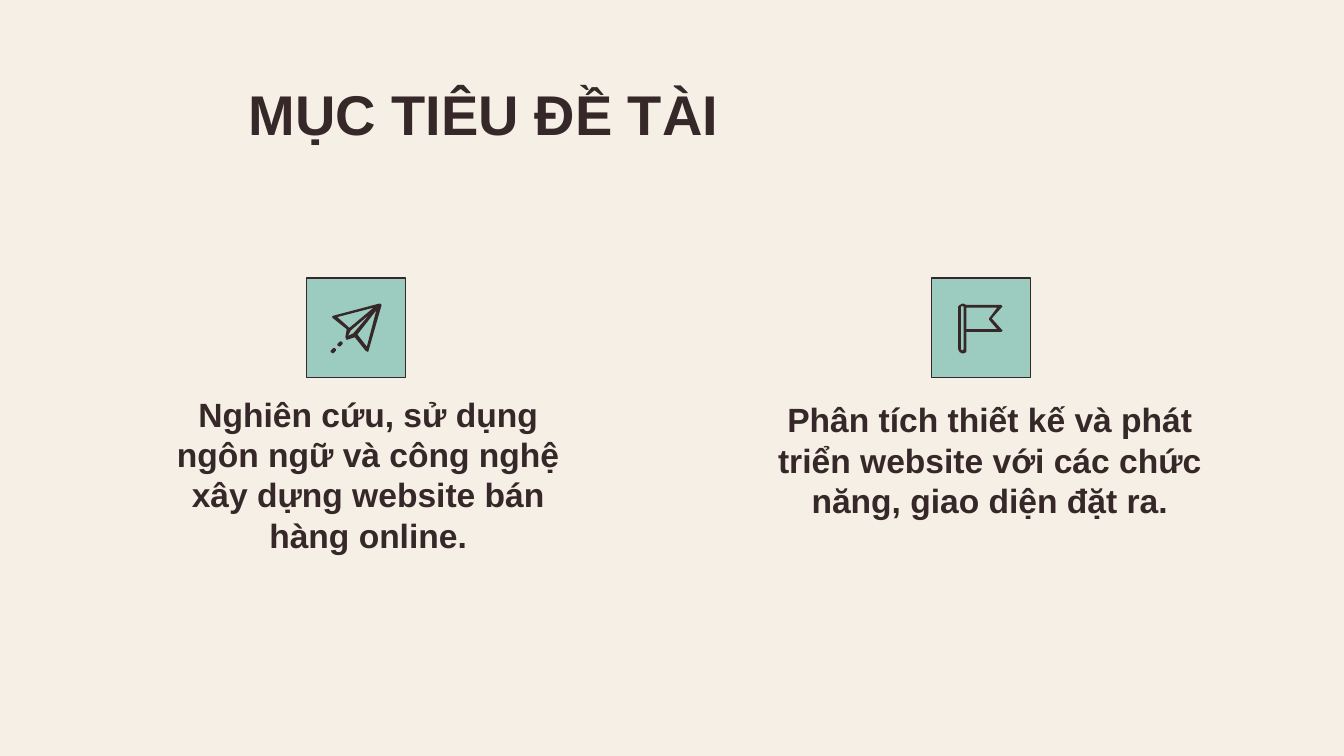
from dataclasses import dataclass

from lxml.etree import SubElement
from pptx import Presentation
from pptx.dml.color import RGBColor
from pptx.enum.shapes import MSO_SHAPE
from pptx.enum.text import MSO_ANCHOR, MSO_AUTO_SIZE, PP_ALIGN
from pptx.oxml.ns import qn
from pptx.util import Inches, Pt

BACKGROUND, INK, MINT = "F5EFE6", "362828", "9CCCBF"
TILE_TOP, TILE_SIZE = 2.07, 0.74

Contour = list[tuple[float, float]]
Part = list[Contour]  # an outline followed by its holes


@dataclass
class Box:
    left: float
    top: float
    width: float
    height: float


@dataclass
class Goal:
    text: str
    box: Box
    tile_left: float
    icon: list[Part]  # inches from the tile's corner


PLANE: Part = [
    [(0.54, 0.19), (0.20, 0.28), (0.19, 0.29), (0.20, 0.30), (0.30, 0.38),
     (0.29, 0.44), (0.30, 0.46), (0.36, 0.44), (0.44, 0.54), (0.46, 0.55),
     (0.56, 0.20), (0.55, 0.19)],
    [(0.50, 0.22), (0.32, 0.37), (0.23, 0.29)],
    [(0.47, 0.27), (0.35, 0.41), (0.31, 0.43), (0.33, 0.39)],
    [(0.52, 0.24), (0.45, 0.51), (0.38, 0.42)],
]
DASH: Contour = [(0.21, 0.52), (0.20, 0.52), (0.18, 0.54), (0.18, 0.55),
                 (0.20, 0.56), (0.22, 0.54), (0.22, 0.53)]
NEXT_DASH: Contour = [(x + 0.05, y - 0.05) for x, y in DASH]
FLAG: Part = [
    [(0.23, 0.19), (0.21, 0.20), (0.20, 0.21), (0.20, 0.53), (0.21, 0.55),
     (0.23, 0.56), (0.24, 0.56), (0.26, 0.55), (0.26, 0.40), (0.52, 0.40),
     (0.53, 0.39), (0.45, 0.30), (0.53, 0.21), (0.52, 0.20), (0.26, 0.20),
     (0.24, 0.19)],
    [(0.49, 0.22), (0.43, 0.30), (0.43, 0.31), (0.49, 0.38), (0.26, 0.38),
     (0.26, 0.22)],
    [(0.24, 0.21), (0.24, 0.53), (0.23, 0.54), (0.22, 0.53), (0.22, 0.21),
     (0.23, 0.21)],
]

GOALS = [
    Goal("Nghiên cứu, sử dụng ngôn ngữ và công nghệ xây dựng website bán hàng online.",
         Box(1.08, 3.06, 3.32, 1.17), 2.28, [PLANE, [DASH], [NEXT_DASH]]),
    Goal("Phân tích thiết kế và phát triển website với các chức năng, giao diện đặt ra.",
         Box(5.64, 2.88, 3.45, 1.09), 6.93, [FLAG]),
]


def rgb(color: str) -> RGBColor:
    return RGBColor.from_string(color)


def fill_placeholder(sp, text: str, box: Box, size: int, anchor: MSO_ANCHOR) -> None:
    sp.left, sp.top = Inches(box.left), Inches(box.top)
    sp.width, sp.height = Inches(box.width), Inches(box.height)
    tf = sp.text_frame
    tf.word_wrap, tf.auto_size, tf.vertical_anchor = True, MSO_AUTO_SIZE.NONE, anchor
    tf.margin_left = tf.margin_right = tf.margin_top = tf.margin_bottom = Inches(0.1)
    p = tf.paragraphs[0]
    p.alignment, p.space_before = PP_ALIGN.CENTER, Pt(0)
    pPr = p._p.get_or_add_pPr()
    pPr.set("marL", "0")
    pPr.set("indent", "0")
    SubElement(pPr, qn("a:buNone"))
    r = p.add_run()
    r.text = text
    r.font.name, r.font.size, r.font.bold = "Arial", Pt(size), True
    r.font.color.rgb = rgb(INK)


def draw_tile(shapes, left: float) -> None:
    sp = shapes.add_shape(MSO_SHAPE.RECTANGLE, Inches(left), Inches(TILE_TOP),
                          Inches(TILE_SIZE), Inches(TILE_SIZE))
    sp.shadow.inherit = False
    sp.fill.solid()
    sp.fill.fore_color.rgb = rgb(MINT)
    sp.line.color.rgb = rgb(INK)
    sp.line.width = Pt(0.75)


def draw_part(shapes, part: Part, left: float) -> None:
    contours = [[(Inches(left + x), Inches(TILE_TOP + y)) for x, y in contour]
                for contour in part]
    builder = shapes.build_freeform(*contours[0][0])
    for i, (start, *rest) in enumerate(contours):
        if i:
            builder.move_to(*start)
        builder.add_line_segments(rest, close=True)
    sp = builder.convert_to_shape()
    sp.shadow.inherit = False
    sp.fill.solid()
    sp.fill.fore_color.rgb = rgb(INK)
    sp.line.fill.background()


def draw_icon(shapes, goal: Goal) -> None:
    target = shapes.add_group_shape().shapes if len(goal.icon) > 1 else shapes
    for part in goal.icon:
        draw_part(target, part, goal.tile_left)


def main() -> None:
    prs = Presentation()
    prs.slide_width = Inches(10)
    prs.slide_height = prs.slide_width * 9 // 16
    s = prs.slides.add_slide(prs.slide_layouts.get_by_name("Two Content"))
    s.background.fill.solid()
    s.background.fill.fore_color.rgb = rgb(BACKGROUND)

    title, *bodies = s.placeholders
    fill_placeholder(title, "MỤC TIÊU ĐỀ TÀI", Box(1.41, 0.49, 4.38, 0.77), 30,
                     MSO_ANCHOR.TOP)
    for body, goal in zip(bodies, GOALS):
        fill_placeholder(body, goal.text, goal.box, 18, MSO_ANCHOR.BOTTOM)
        draw_tile(s.shapes, goal.tile_left)
        draw_icon(s.shapes, goal)

    prs.save("out.pptx")


if __name__ == "__main__":
    main()
